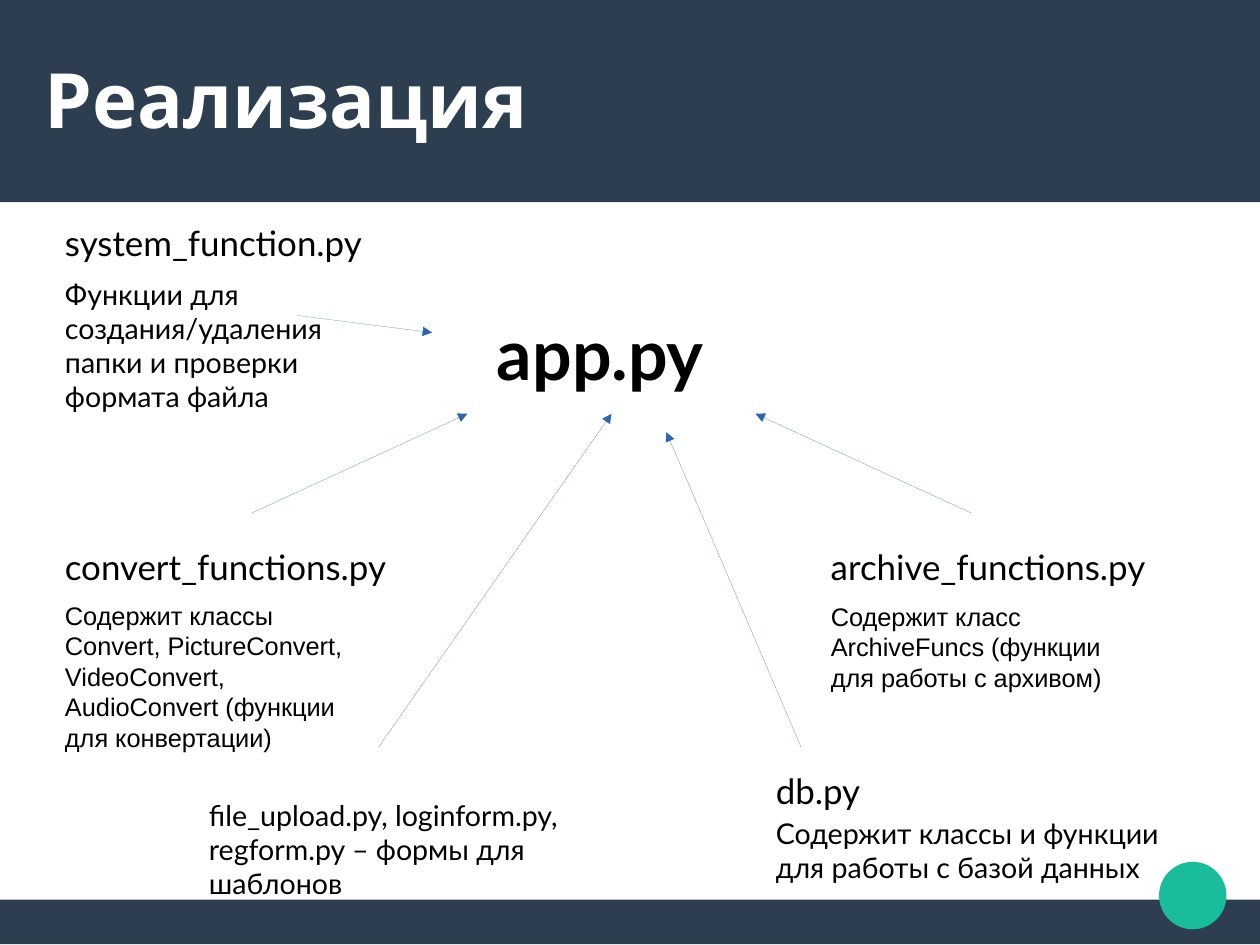
"""Build the slide that shows how the project modules feed app.py."""
from lxml.etree import SubElement
from pptx import Presentation
from pptx.dml.color import RGBColor
from pptx.enum.shapes import MSO_CONNECTOR, MSO_SHAPE
from pptx.enum.text import MSO_ANCHOR, MSO_AUTO_SIZE, PP_ALIGN
from pptx.oxml.ns import qn
from pptx.util import Inches, Pt

NAVY = RGBColor(0x2C, 0x3E, 0x50)
GREEN = RGBColor(0x1A, 0xBC, 0x9C)
BLUE = RGBColor(0x34, 0x65, 0xA4)
BLACK = RGBColor(0, 0, 0)
WHITE = RGBColor(0xFF, 0xFF, 0xFF)


def style_font(paragraph, name, size, color, bold=False):
    font = paragraph.font
    font.name, font.size, font.bold = name, Pt(size), bold
    font.color.rgb = color


prs = Presentation()
prs.slide_width, prs.slide_height = Inches(28 / 2.54), Inches(21 / 2.54)
slide = prs.slides.add_slide(prs.slide_layouts[5])
shapes = slide.shapes

title = shapes.title
title.left, title.top = Inches(0.39), Inches(0.33)
title.width, title.height = Inches(10.24), Inches(1.05)
heading = title.text_frame
heading.text = "Реализация"
heading.auto_size = MSO_AUTO_SIZE.NONE
heading.vertical_anchor = MSO_ANCHOR.MIDDLE
heading.margin_left = heading.margin_right = 0
heading.margin_top = heading.margin_bottom = 0
heading.paragraphs[0].alignment = PP_ALIGN.LEFT
style_font(heading.paragraphs[0], "Cabin", 48, WHITE, bold=True)

backdrop = [
    (MSO_SHAPE.RECTANGLE, 0, 7.87, 28 / 2.54, 0.39, NAVY),
    (MSO_SHAPE.RECTANGLE, 0, 0, 28 / 2.54, 1.77, NAVY),
    (MSO_SHAPE.OVAL, 10.14, 7.54, 0.59, 0.59, GREEN),
]
for kind, left, top, width, height, color in backdrop:
    part = shapes.add_shape(kind, Inches(left), Inches(top), Inches(width), Inches(height))
    part.shadow.inherit = False
    part.fill.solid()
    part.fill.fore_color.rgb = color
    part.line.fill.background()
    title.element.addprevious(part.element)

arrows_to_app = [
    (2.2, 4.49, 4.09, 3.62),
    (8.5, 4.49, 6.61, 3.62),
    (3.31, 6.54, 5.35, 3.62),
    (7.01, 6.54, 5.83, 3.78),
    (2.6, 2.76, 3.78, 2.91),
]
for ends in arrows_to_app:
    arrow = shapes.add_connector(MSO_CONNECTOR.STRAIGHT, *map(Inches, ends))
    arrow.line.color.rgb = BLUE
    hairline = arrow.element.spPr.find(qn("a:ln"))
    hairline.set("w", "0")
    SubElement(hairline, qn("a:tailEnd"), type="triangle")
    SubElement(arrow.element.spPr, qn("a:effectLst"))

labels = [
    ("app.py", 4.25, 2.67, 2.13, 1.77, "Lato", 44),
    ("system_function.py", 0.47, 1.89, 2.99, 0.52, "Lato", 22),
    ("Функции для создания/удаления папки и проверки формата файла",
     0.47, 2.37, 2.52, 1.8, "Lato", 18),
    ("convert_functions.py", 0.47, 4.72, 3.07, 0.93, "Lato", 22),
    ("Содержит классы Convert, PictureConvert, VideoConvert, AudioConvert "
     "(функции для конвертации)", 0.47, 5.2, 2.91, 1.33, "Arial", 16),
    ("archive_functions.py", 7.17, 4.72, 3.07, 0.93, "Lato", 22),
    ("Содержит класс ArchiveFuncs (функции для работы с архивом)",
     7.17, 5.21, 2.91, 0.84, "Arial", 16),
    ("file_upload.py, loginform.py, regform.py – формы для шаблонов",
     1.73, 6.93, 4.17, 1.46, "Lato", 18),
    ("db.py", 6.69, 6.68, 0.94, 0.93, "Lato", 22),
    ("Содержит классы и функции для работы с базой данных",
     6.69, 7.09, 3.7, 0.81, "Lato", 18),
]
for text, left, top, width, height, face, size in labels:
    label = shapes.add_textbox(Inches(left), Inches(top), Inches(width), Inches(height))
    label.text_frame.word_wrap = True
    label.text_frame.text = text
    style_font(label.text_frame.paragraphs[0], face, size, BLACK, bold=text == "app.py")

prs.save("out.pptx")
